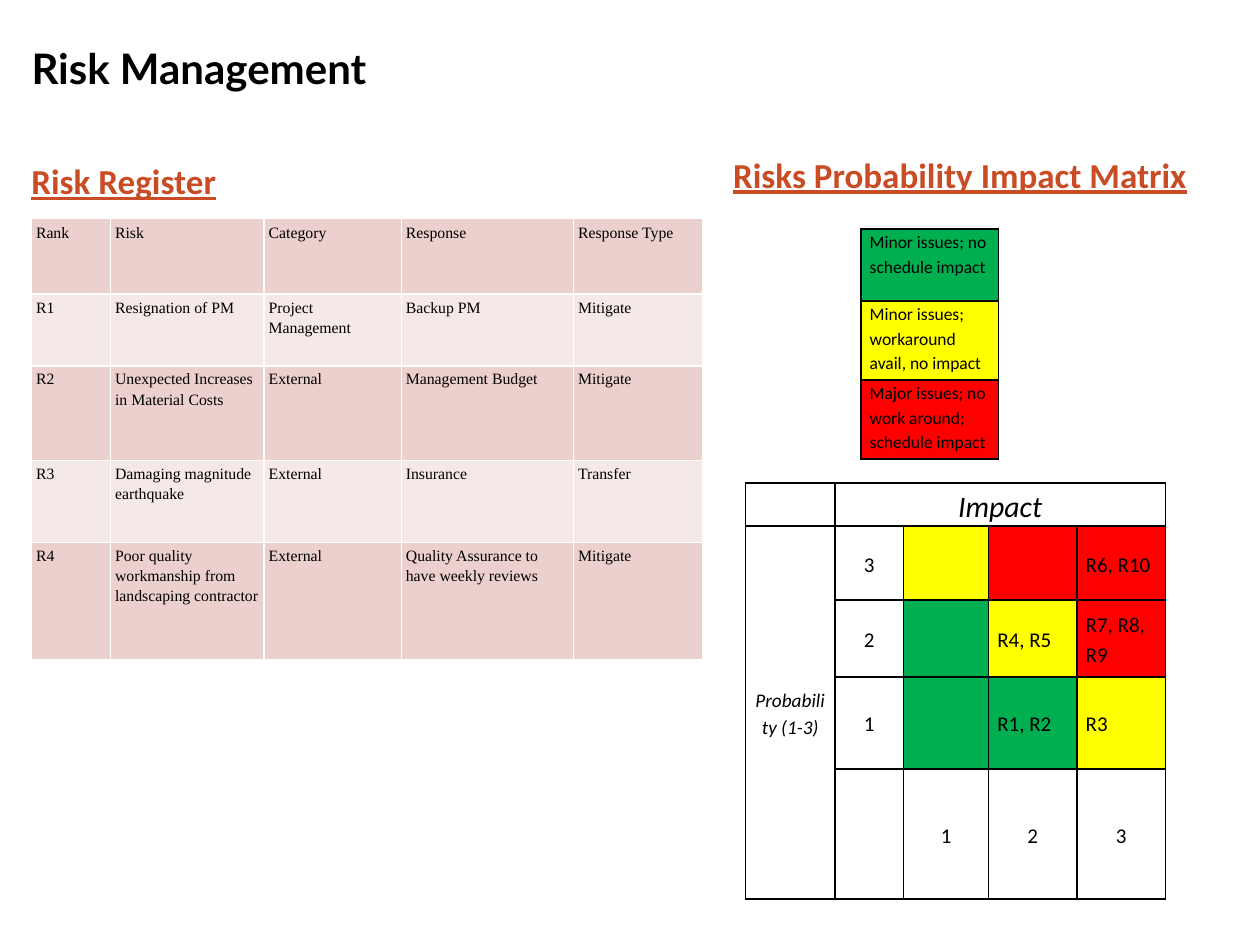
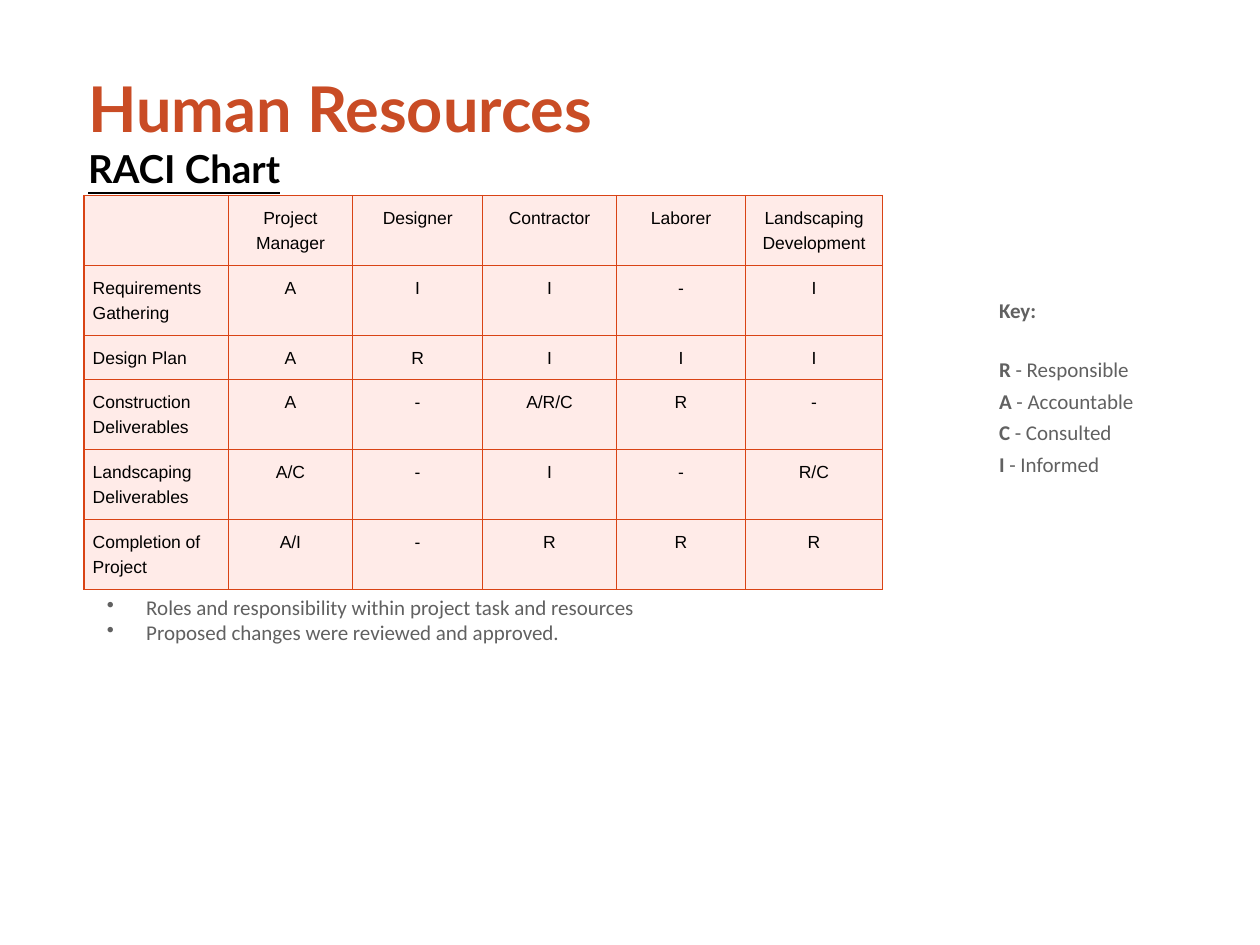
from dataclasses import dataclass, field
from typing import Any, NamedTuple

from lxml.etree import SubElement
from pptx import Presentation
from pptx.dml.color import RGBColor
from pptx.enum.text import MSO_ANCHOR, PP_ALIGN
from pptx.oxml.ns import qn
from pptx.util import Pt


# Theme: colours, type sizes and fonts
@dataclass(frozen=True)
class Theme:
    black: str = "000000"
    white: str = "FFFFFF"
    rust: str = "C94C25"
    line: str = "D94315"
    grey: str = "616161"
    blush: str = "FFEBE8"
    rose: str = "EBD0CD"
    pale: str = "F5E9E8"
    green: str = "00B050"
    yellow: str = "FFFF00"
    red: str = "FF0000"
    hero: int = 36
    title: int = 24
    sub: int = 22
    head: int = 20
    axis: int = 17
    body: int = 12
    label: int = 11
    small: int = 10
    tiny: int = 9
    brand: str = "Lato"
    text: str = "Calibri"
    plain: str = "Arial"
    serif: str = "Times New Roman"


T = Theme()
Look = dict[str, Any]


def look(size: int, name: str, color: str = T.black, **more: Any) -> Look:
    return {"size": Pt(size), "name": name, "color": color, **more}


TITLE = look(T.title, T.brand, bold=True)
HERO = look(T.hero, T.brand, T.rust, bold=True)
SUB = look(T.sub, T.brand, bold=True, underline=True)
HEAD = look(T.head, T.text, T.rust, bold=True, underline=True)
BODY = look(T.body, T.text, T.grey)
MID, LEFT = PP_ALIGN.CENTER, PP_ALIGN.LEFT


class Run(NamedTuple):
    text: str
    look: Look


class Para(NamedTuple):
    runs: list[Run]
    form: Look = {}
    bullet: bool = False


class Cell(NamedTuple):
    text: str = ""
    fill: str | None = None
    form: Look = {}
    look: Look = {}


@dataclass(frozen=True)
class Box:
    left: float
    top: float
    width: float
    height: float
    paras: list[Para]
    pads: tuple[float, float] = (0, 0)
    anchor: MSO_ANCHOR = MSO_ANCHOR.TOP


@dataclass(frozen=True)
class Grid:
    left: float
    top: float
    cols: list[float]
    rows: list[float]
    cells: list[list[Cell]]
    look: Look
    line: str = T.black
    weight: float = 1
    pads: tuple[float, float] = (5, 0)
    anchor: MSO_ANCHOR = MSO_ANCHOR.TOP
    form: Look = field(default_factory=lambda: {"line_spacing": 1.15})
    spans: list[tuple[int, int, int, int]] = field(default_factory=list)


# Drawing
def set_all(item: Any, values: Look) -> None:
    for key, value in values.items():
        if key == "color":
            item.color.rgb = RGBColor.from_string(value)
        else:
            setattr(item, key, value)


def write(para: Any, data: Para) -> None:
    if data.bullet:
        props = para._p.get_or_add_pPr()
        props.set("marL", str(Pt(22.5)))
        props.set("indent", str(Pt(-22.5)))
        SubElement(props, qn("a:buChar"), char="•")
    set_all(para, data.form)
    for piece in data.runs:
        run = para.add_run()
        run.text = piece.text
        set_all(run.font, piece.look)


def draw_box(slide: Any, box: Box) -> None:
    sizes = map(Pt, (box.left, box.top, box.width, box.height))
    frame = slide.shapes.add_textbox(*sizes).text_frame
    side, edge = map(Pt, box.pads)
    set_all(frame, {"word_wrap": True, "vertical_anchor": box.anchor,
                    "margin_left": side, "margin_right": side,
                    "margin_top": edge, "margin_bottom": edge})
    for i, data in enumerate(box.paras):
        write(frame.add_paragraph() if i else frame.paragraphs[0], data)


def border(cell: Any, color: str, weight: float) -> None:
    props = cell._tc.get_or_add_tcPr()
    for side in "LRTB":
        line = SubElement(props, qn(f"a:ln{side}"), w=str(Pt(weight)))
        fill = SubElement(line, qn("a:solidFill"))
        SubElement(fill, qn("a:srgbClr"), val=color)


def draw_grid(slide: Any, grid: Grid) -> None:
    sizes = map(Pt, (grid.left, grid.top, sum(grid.cols), sum(grid.rows)))
    shape = slide.shapes.add_table(len(grid.rows), len(grid.cols), *sizes)
    table = shape.table
    set_all(table, {"first_row": False, "horz_banding": False})
    for col, width in zip(table.columns, grid.cols):
        col.width = Pt(width)
    for row, height in zip(table.rows, grid.rows):
        row.height = Pt(height)
    side, edge = map(Pt, grid.pads)
    for r, line in enumerate(grid.cells):
        for c, data in enumerate(line):
            cell = table.cell(r, c)
            border(cell, grid.line, grid.weight)
            set_all(cell, {"vertical_anchor": grid.anchor,
                           "margin_left": side, "margin_right": side,
                           "margin_top": edge, "margin_bottom": edge})
            if data.fill:
                cell.fill.solid()
                cell.fill.fore_color.rgb = RGBColor.from_string(data.fill)
            else:
                cell.fill.background()
            run = Run(data.text, grid.look | data.look)
            write(cell.text_frame.paragraphs[0],
                  Para([run], grid.form | data.form))
    for top, left, low, right in grid.spans:
        table.cell(top, left).merge(table.cell(low, right))


def line_of(text: str, style: Look) -> list[Para]:
    return [Para([Run(text, style)])]


# Slide 1: risk register, legend and matrix
RISKS = [
    ["Rank", "Risk", "Category", "Response", "Response Type"],
    ["R1", "Resignation of PM", "Project Management", "Backup PM", "Mitigate"],
    ["R2", "Unexpected Increases in Material Costs", "External",
     "Management Budget", "Mitigate"],
    ["R3", "Damaging magnitude earthquake", "External", "Insurance",
     "Transfer"],
    ["R4", "Poor quality workmanship from landscaping contractor", "External",
     "Quality Assurance to have weekly reviews", "Mitigate"],
]
LEGEND = [
    ("Minor issues; no schedule impact", T.green),
    ("Minor issues; workaround avail, no impact", T.yellow),
    ("Major issues; no work around; schedule impact", T.red),
]
SCORES = [
    ("3", [("", T.yellow), ("", T.red), ("R6, R10", T.red)]),
    ("2", [("", T.green), ("R4, R5", T.yellow), ("R7, R8, R9", T.red)]),
    ("1", [("", T.green), ("R1, R2", T.green), ("R3", T.yellow)]),
]


def risk_slide(slide: Any) -> None:
    draw_box(slide, Box(18, 24.5, 384, 30, line_of("Risk Management", TITLE)))
    draw_box(slide, Box(18, 89.3, 210, 26, line_of("Risk Register", HEAD),
                        anchor=MSO_ANCHOR.BOTTOM))
    draw_box(slide, Box(419, 82, 268, 35.5,
                        line_of("Risks Probability Impact Matrix", HEAD),
                        anchor=MSO_ANCHOR.MIDDLE))

    tints = (T.rose, T.pale)
    cells = [[Cell(text, tints[r % 2], {} if r else {"line_spacing": 1.25})
              for text in row] for r, row in enumerate(RISKS)]
    draw_grid(slide, Grid(
        18, 124.5, [45.2, 87.8, 78.4, 98.4, 74], [43.6, 41, 54, 46.8, 67.2],
        cells, look(T.tiny, T.serif), T.white, pads=(2.6, 1.4)))

    draw_grid(slide, Grid(
        492, 131, [78.5], [41, 45.2, 45.2],
        [[Cell(*item)] for item in LEGEND], look(T.small, T.text)))

    mid = {"alignment": MID}
    axis = {"size": Pt(T.axis), "italic": True}
    side = {"size": Pt(T.label), "italic": True}
    cells = [[Cell(), Cell("Impact", None, mid, axis)] + [Cell()] * 3]
    for rank, marks in SCORES:
        first = Cell("" if len(cells) > 1 else "Probability (1-3)",
                     None, mid, side)
        cells.append([first, Cell(rank, None, mid)]
                     + [Cell(*mark) for mark in marks])
    cells.append([Cell(), Cell()] + [Cell(n, None, mid) for n in "123"])
    draw_grid(slide, Grid(
        426, 276, [51.1, 39.3, 48.6, 50.5, 50.5], [24.6, 42.2, 44, 52.6, 74.4],
        cells, look(T.body, T.text), anchor=MSO_ANCHOR.MIDDLE,
        spans=[(0, 1, 0, 4), (1, 0, 4, 0)]))


# Slide 2: RACI chart with key and notes
ROLES = ["", "Project Manager", "Designer", "Contractor", "Laborer",
         "Landscaping Development"]
TASKS = [
    ["Requirements Gathering", "A", "I", "I", "-", "I"],
    ["Design Plan", "A", "R", "I", "I", "I"],
    ["Construction Deliverables", "A", "-", "A/R/C", "R", "-"],
    ["Landscaping Deliverables", "A/C", "-", "I", "-", "R/C"],
    ["Completion of Project", "A/I", "-", "R", "R", "R"],
]
DUTIES = ["Responsible", "Accountable", "Consulted", "Informed"]
NOTES = ["Roles and responsibility within project task and resources",
         "Proposed changes were reviewed and approved."]


def staff_slide(slide: Any) -> None:
    draw_box(slide, Box(50.4, 39.5, 384, 72,
                        line_of("Human Resources", HERO)
                        + line_of("RACI Chart", SUB)))

    cells = [[Cell(text, T.blush, {"alignment": MID if c else LEFT})
              for c, text in enumerate(row)] for row in [ROLES, *TASKS]]
    draw_grid(slide, Grid(
        48, 111.6, [82.6, 70.8, 74.6, 76.2, 74, 78],
        [24 if row[0] == "Design Plan" else 38.3 for row in [ROLES, *TASKS]],
        cells, look(T.small, T.plain), T.line, 0.75, (5, 5),
        form={"line_spacing": 1.25}))

    bold = BODY | {"bold": True}
    loose = {"line_spacing": 1.25}
    key = [Para([Run("Key:", bold)], loose | {"space_after": Pt(16)})]
    key += [Para([Run(duty[0], bold), Run(f" - {duty}", BODY)], loose)
            for duty in DUTIES]
    draw_box(slide, Box(563.8, 162.7, 108, 114.5, key, (7.2, 3.6)))
    notes = [Para([Run(note, BODY)], bullet=True) for note in NOTES]
    draw_box(slide, Box(54, 336.2, 468, 70.6, notes, (7.2, 3.6)))


def main() -> None:
    deck = Presentation()
    set_all(deck, {"slide_width": Pt(720), "slide_height": Pt(540)})
    for draw in (risk_slide, staff_slide):
        draw(deck.slides.add_slide(deck.slide_layouts[6]))
    deck.save("out.pptx")


if __name__ == "__main__":
    main()
